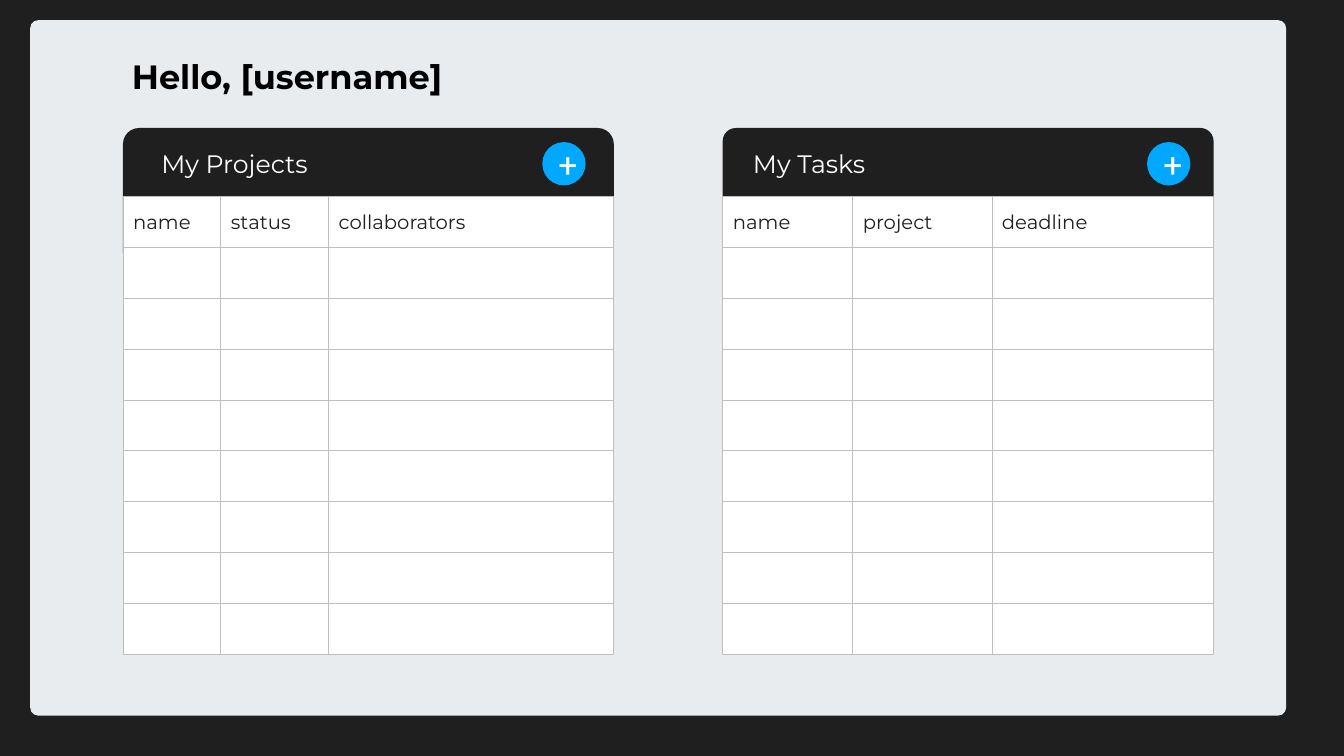
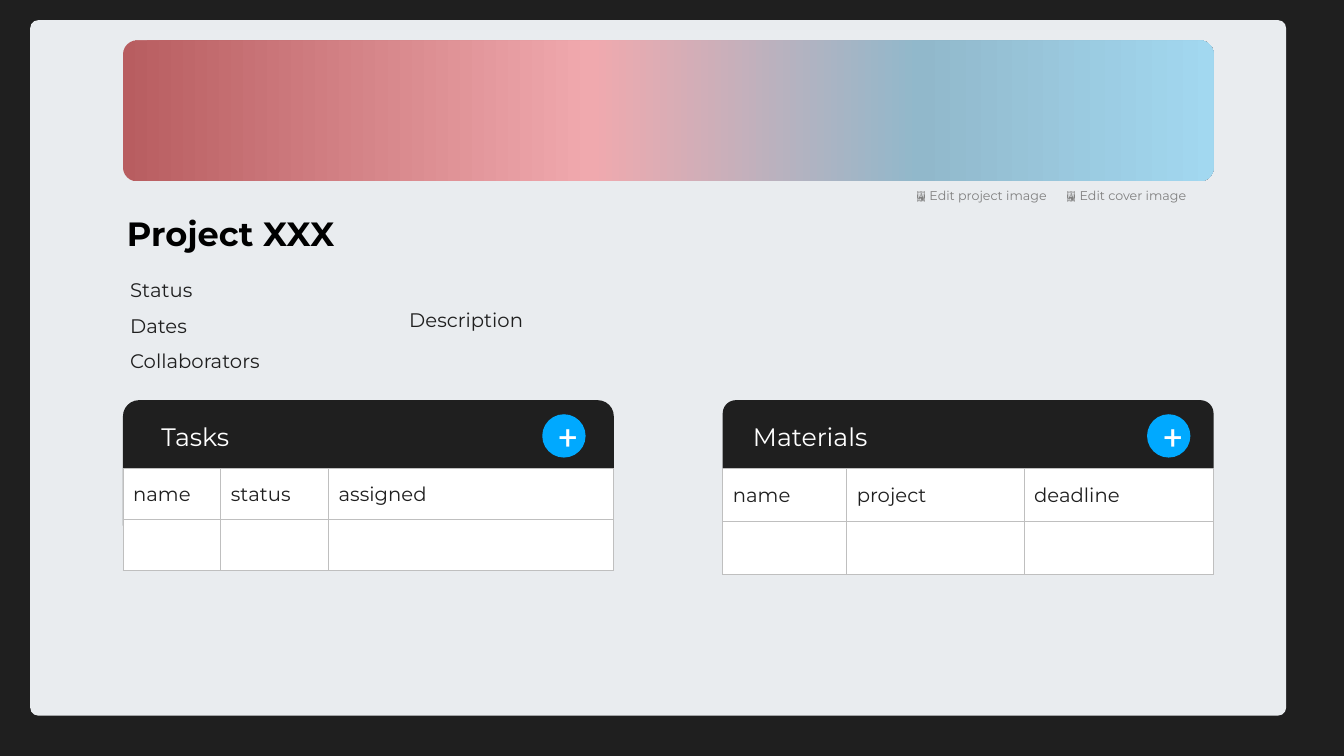
from lxml.etree import SubElement
from pptx import Presentation
from pptx.dml.color import RGBColor
from pptx.enum.shapes import MSO_SHAPE as SHAPE
from pptx.enum.text import MSO_ANCHOR as ANCHOR, MSO_AUTO_SIZE as AUTO_SIZE, PP_ALIGN as ALIGN
from pptx.oxml.ns import qn
from pptx.util import Emu, Pt

PX = 9144  # EMU per px, 100 px to the inch
SLIDE_W, SLIDE_H = Emu(12192000), Emu(6858000)

DARK = RGBColor(0x1F, 0x1F, 0x1F)
CARD = RGBColor(0xE9, 0xEC, 0xEF)
WHITE = RGBColor(0xFF, 0xFF, 0xFF)
BLACK = RGBColor(0x00, 0x00, 0x00)
GREY = RGBColor(0x80, 0x80, 0x80)
BORDER = RGBColor(0xBF, 0xBF, 0xBF)
BLUE = RGBColor(0x00, 0xA9, 0xFF)
COVER_STOPS = [
    (0, RGBColor(0xB8, 0x5D, 0x60)),
    (43, RGBColor(0xF0, 0xA9, 0xAE)),
    (73, RGBColor(0x91, 0xB8, 0xCB)),
    (100, RGBColor(0xA2, 0xD8, 0xF0)),
]

# Text formats: font name, size, colour, weight
BODY = {"name": "Montserrat", "size": Pt(14), "color": DARK, "bold": False}
TITLE = {**BODY, "size": Pt(24), "color": BLACK, "bold": True}
PANEL_TITLE = {**BODY, "size": Pt(18), "color": WHITE}
ACTION = {**BODY, "size": Pt(9), "color": GREY}
PLUS = {**BODY, "name": "Roboto", "size": Pt(24), "color": WHITE}

# The two panel positions: left edge, header height, corner, offsets inside
PANEL_W, BAND_H, BUTTON = 487, 68, 43
LEFT = {"left": 122, "header_h": 140, "radius": 16, "title_dx": 38, "button_dx": 416}
RIGHT = {"left": 717, "header_h": 136, "radius": 13, "title_dx": 30, "button_dx": 421}


def px(*lengths):
    return [Emu(n * PX) for n in lengths]


def write(tf, lines, style, align=ALIGN.LEFT, spacing=None):
    tf.vertical_anchor = ANCHOR.MIDDLE
    for i, line in enumerate(lines):
        p = tf.add_paragraph() if i else tf.paragraphs[0]
        p.alignment = align
        if spacing:
            p.line_spacing = spacing
        r = p.add_run()
        r.text = line
        for key, value in style.items():
            if key == "color":
                r.font.color.rgb = value
            else:
                setattr(r.font, key, value)


def add_text(s, box, lines, style, inset=True, spacing=None):
    tf = s.shapes.add_textbox(*px(*box)).text_frame
    tf.word_wrap = True
    if not inset:
        for side in ("left", "top", "right", "bottom"):
            setattr(tf, f"margin_{side}", 0)
    write(tf, lines, style, spacing=spacing)
    return tf


def add_shape(s, kind, box, color=None, radius=None):
    sp = s.shapes.add_shape(kind, *px(*box))
    sp.shadow.inherit = False
    sp.line.fill.background()
    if color is not None:
        sp.fill.solid()
        sp.fill.fore_color.rgb = color
    if radius is not None:
        sp.adjustments[0] = radius / min(box[2:])
    return sp


def add_color(parent, color):
    SubElement(parent, qn("a:srgbClr"), val=str(color))


def add_slide(prs):
    """Dark slide with the light card that carries the content."""
    s = prs.slides.add_slide(prs.slide_layouts[6])
    s.background.fill.solid()
    s.background.fill.fore_color.rgb = DARK
    add_shape(s, SHAPE.ROUNDED_RECTANGLE, (30, 20, 1246, 690), CARD, radius=8)
    return s


def add_cover(s, box):
    sp = add_shape(s, SHAPE.ROUNDED_RECTANGLE, box, radius=14)
    sp.fill.gradient()
    sp.fill.gradient_angle = 0
    stops = sp._element.spPr.find(".//" + qn("a:gsLst"))
    stops.clear()
    for percent, color in COVER_STOPS:
        add_color(SubElement(stops, qn("a:gs"), pos=str(percent * 1000)), color)


def format_cell(cell):
    tc_pr = cell._tc.get_or_add_tcPr()
    for side in ("lnL", "lnR", "lnT", "lnB"):
        line = SubElement(tc_pr, qn(f"a:{side}"), w=str(Pt(0.5)))
        add_color(SubElement(line, qn("a:solidFill")), BORDER)
    cell.fill.solid()
    cell.fill.fore_color.rgb = WHITE
    cell.vertical_anchor = ANCHOR.MIDDLE


def add_grid(s, box, columns, rows):
    """Table with a row of headings over empty rows of equal height."""
    table = s.shapes.add_table(rows, len(columns), *px(*box)).table
    table.first_row = table.horz_banding = False
    for row in table.rows:
        row.height = Emu(box[3] * PX // rows)
    for col, width in zip(table.columns, columns.values()):
        col.width = Emu(width * PX)
    for cell in table.iter_cells():
        format_cell(cell)
    for cell, heading in zip(table.rows[0].cells, columns):
        write(cell.text_frame, [heading], BODY)


def add_panel(s, place, top, title, columns, rows, table_h):
    """Header band with title and add button, then the table."""
    left = place["left"]
    add_shape(s, SHAPE.ROUNDED_RECTANGLE, (left, top, PANEL_W, place["header_h"]),
              DARK, place["radius"])
    add_grid(s, (left, top + BAND_H, PANEL_W, table_h), columns, rows)
    add_text(s, (left + place["title_dx"], top + 16, 178, 39), [title],
             PANEL_TITLE, inset=False)
    button = add_shape(s, SHAPE.OVAL, (left + place["button_dx"], top + 14, BUTTON, BUTTON), BLUE)
    write(button.text_frame, ["+"], PLUS, ALIGN.CENTER)


def build_home(prs):
    s = add_slide(prs)
    add_text(s, (121, 46, 742, 58), ["Hello, [username]"], TITLE)
    add_panel(s, LEFT, 127, "My Projects",
              {"name": 97, "status": 107, "collaborators": 283}, 9, 454)
    add_panel(s, RIGHT, 127, "My Tasks",
              {"name": 129, "project": 138, "deadline": 220}, 9, 454)


def build_project(prs):
    s = add_slide(prs)
    # Cover and its edit actions
    add_cover(s, (122, 40, 1082, 140))
    for left, label in ((899, "🖼️ Edit project image"), (1048, "🖼️ Edit cover image")):
        add_text(s, (left, 183, 160, 22), [label], ACTION)
    # Project details
    add_text(s, (116, 202, 742, 58), ["Project XXX"], TITLE)
    details = add_text(s, (129, 266, 178, 102), ["Status", "Dates", "Collaborators"],
                       BODY, inset=False, spacing=1.5)
    details.auto_size = AUTO_SIZE.SHAPE_TO_FIT_TEXT
    add_text(s, (406, 266, 178, 102), ["Description"], BODY, inset=False)
    # Panels
    add_panel(s, LEFT, 397, "Tasks",
              {"name": 97, "status": 107, "assigned": 283}, 2, 101)
    add_panel(s, RIGHT, 397, "Materials",
              {"name": 123, "project": 176, "deadline": 188}, 2, 105)


def main():
    prs = Presentation()
    prs.slide_width, prs.slide_height = SLIDE_W, SLIDE_H
    build_home(prs)
    build_project(prs)
    prs.save("out.pptx")


if __name__ == "__main__":
    main()
